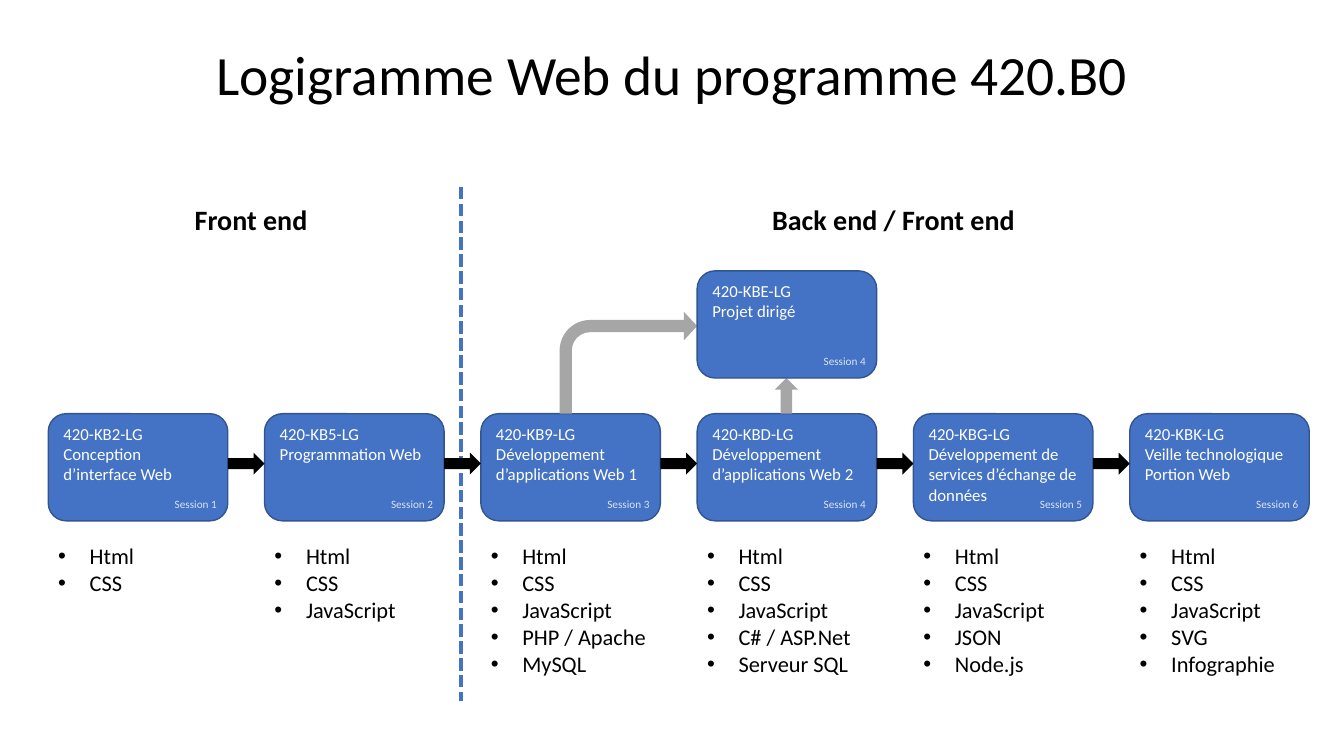
import pptx
import pptx.dml.color
import pptx.enum.dml
import pptx.enum.shapes
import pptx.enum.text
import pptx.oxml
import pptx.oxml.ns
import pptx.util
from lxml import etree

RGBColor = pptx.dml.color.RGBColor
Shape = pptx.enum.shapes.MSO_SHAPE
Align = pptx.enum.text.PP_ALIGN
Anchor = pptx.enum.text.MSO_ANCHOR

BLUE = RGBColor(0x44, 0x72, 0xC4)
DARK_BLUE = RGBColor(0x32, 0x54, 0x91)
PALE_BLUE = RGBColor(0xDA, 0xE3, 0xF3)
GREY = RGBColor(0xA6, 0xA6, 0xA6)
BLACK = RGBColor(0, 0, 0)
WHITE = RGBColor(0xFF, 0xFF, 0xFF)

EMU_PER_PX = 9525
SLIDE_W, SLIDE_H = 1280, 720

CARD_W, CARD_H = 171, 102
FIRST_LEFT, COLUMN_STEP = 46, 206
COURSE_TOP, PROJECT_TOP = 394, 258
GAP = COLUMN_STEP - CARD_W
FLOW_ARROW_H = 21
PROJECT_ARROW_H = 22
SKILLS_TOP = 512
BULLET_INDENT = 30

# Card lines, session, skills, width of the skills box
COURSES = [
    (["420-KB2-LG", "Conception", "d’interface Web"], 1,
     ["Html", "CSS"], 92),
    (["420-KB5-LG", "Programmation Web"], 2,
     ["Html", "CSS", "JavaScript"], 136),
    (["420-KB9-LG", "Développement d’applications Web 1"], 3,
     ["Html", "CSS", "JavaScript", "PHP / Apache", "MySQL"], 169),
    (["420-KBD-LG", "Développement d’applications Web 2"], 4,
     ["Html", "CSS", "JavaScript", "C# / ASP.Net", "Serveur SQL"], 157),
    (["420-KBG-LG", "Développement de services d’échange de données"], 5,
     ["Html", "CSS", "JavaScript", "JSON", "Node.js"], 136),
    (["420-KBK-LG", "Veille technologique", "Portion Web"], 6,
     ["Html", "CSS", "JavaScript", "SVG", "Infographie"], 150),
]


def px(length):
    return pptx.util.Emu(length * EMU_PER_PX)


class FlowchartSlide:
    font_name = "Calibri"

    def __init__(self, slide):
        self.slide = slide

    def fill_text(self, frame, lines, size, color, bold=False, bullets=False):
        for index, line in enumerate(lines):
            paragraph = frame.paragraphs[0] if index == 0 else frame.add_paragraph()
            paragraph.text = line
            paragraph.alignment = Align.LEFT
            if bullets:
                self.add_bullet(paragraph)
            font = paragraph.font
            font.name = self.font_name
            font.size = pptx.util.Pt(size)
            font.bold = bold
            font.color.rgb = color

    def add_bullet(self, paragraph):
        properties = paragraph._p.get_or_add_pPr()
        properties.set("marL", str(px(BULLET_INDENT)))
        properties.set("indent", str(px(-BULLET_INDENT)))
        qn = pptx.oxml.ns.qn
        etree.SubElement(properties, qn("a:buFont")).set("typeface", "Arial")
        etree.SubElement(properties, qn("a:buChar")).set("char", "•")

    def text(self, left, top, width, height, lines, size, color=BLACK, **style):
        """Add a text box that fits its unwrapped lines."""
        box = self.slide.shapes.add_textbox(px(left), px(top), px(width), px(height))
        frame = box.text_frame
        frame.word_wrap = False
        frame.auto_size = pptx.enum.text.MSO_AUTO_SIZE.SHAPE_TO_FIT_TEXT
        self.fill_text(frame, lines, size, color, **style)

    def title(self, left, top, width, height, wording):
        box = self.slide.shapes.add_textbox(px(left), px(top), px(width), px(height))
        frame = box.text_frame
        frame.word_wrap = True
        frame.vertical_anchor = Anchor.MIDDLE
        self.fill_text(frame, [wording], 39.6, BLACK)
        frame.paragraphs[0].alignment = Align.CENTER
        frame.paragraphs[0].line_spacing = 0.9

    def shape(self, preset, left, top, width, height, fill):
        shape = self.slide.shapes.add_shape(
            preset, px(left), px(top), px(width), px(height))
        shape.shadow.inherit = False
        shape.fill.solid()
        shape.fill.fore_color.rgb = fill
        shape.line.fill.background()
        return shape

    def card(self, left, top, lines, session):
        card = self.shape(Shape.ROUNDED_RECTANGLE, left, top, CARD_W, CARD_H, BLUE)
        card.line.color.rgb = DARK_BLUE
        card.line.width = pptx.util.Pt(1)
        card.text_frame.word_wrap = True
        card.text_frame.vertical_anchor = Anchor.TOP
        self.fill_text(card.text_frame, lines, 12, WHITE)
        label_w = 60
        self.text(left + CARD_W - label_w, top + 75, label_w, 23,
                  [f"Session {session}"], 8, PALE_BLUE)

    def dashed_divider(self, x, top, bottom):
        divider = self.slide.shapes.add_connector(
            pptx.enum.shapes.MSO_CONNECTOR.STRAIGHT, px(x), px(top), px(x), px(bottom))
        divider.line.color.rgb = BLUE
        divider.line.width = pptx.util.Pt(3)
        divider.line.dash_style = pptx.enum.dml.MSO_LINE.SQUARE_DOT
        etree.SubElement(divider._element.spPr, pptx.oxml.ns.qn("a:effectLst"))


def main():
    presentation = pptx.Presentation()
    presentation.slide_width = px(SLIDE_W)
    presentation.slide_height = px(SLIDE_H)
    flowchart = FlowchartSlide(
        presentation.slides.add_slide(presentation.slide_layouts[6]))

    flowchart.dashed_divider(439, 178, 668)
    flowchart.title(88, 38, 1104, 71, "Logigramme Web du programme 420.B0")
    flowchart.text(176, 188, 128, 42, ["Front end"], 20, bold=True)
    flowchart.text(726, 188, 252, 42, ["Back end / Front end"], 20, bold=True)

    for column, (lines, session, skills, skills_w) in enumerate(COURSES):
        left = FIRST_LEFT + column * COLUMN_STEP
        flowchart.card(left, COURSE_TOP, lines, session)
        flowchart.text(left, SKILLS_TOP, skills_w, 10 + 26 * len(skills),
                       skills, 16, bullets=True)
        if column > 0:
            flowchart.shape(Shape.RIGHT_ARROW, left - GAP, 431,
                            GAP, FLOW_ARROW_H, BLACK)

    project_left = FIRST_LEFT + 3 * COLUMN_STEP
    project_bottom = PROJECT_TOP + CARD_H
    rise = COURSE_TOP - project_bottom
    upward_arrow = flowchart.shape(
        Shape.RIGHT_ARROW, project_left + (CARD_W - rise) // 2,
        project_bottom + (rise - PROJECT_ARROW_H) // 2,
        rise, PROJECT_ARROW_H, GREY)
    upward_arrow.rotation = 270

    bend_left, bend_top = 533, 297
    bent_arrow = flowchart.shape(
        Shape.BENT_ARROW, bend_left, bend_top,
        project_left - bend_left, COURSE_TOP - bend_top, GREY)
    for index, ratio in enumerate((0.12, 0.14, 0.13, 0.3)):
        bent_arrow.adjustments[index] = ratio
    flowchart.card(project_left, PROJECT_TOP, ["420-KBE-LG", "Projet dirigé"], 4)

    presentation.save("out.pptx")


if __name__ == "__main__":
    main()
